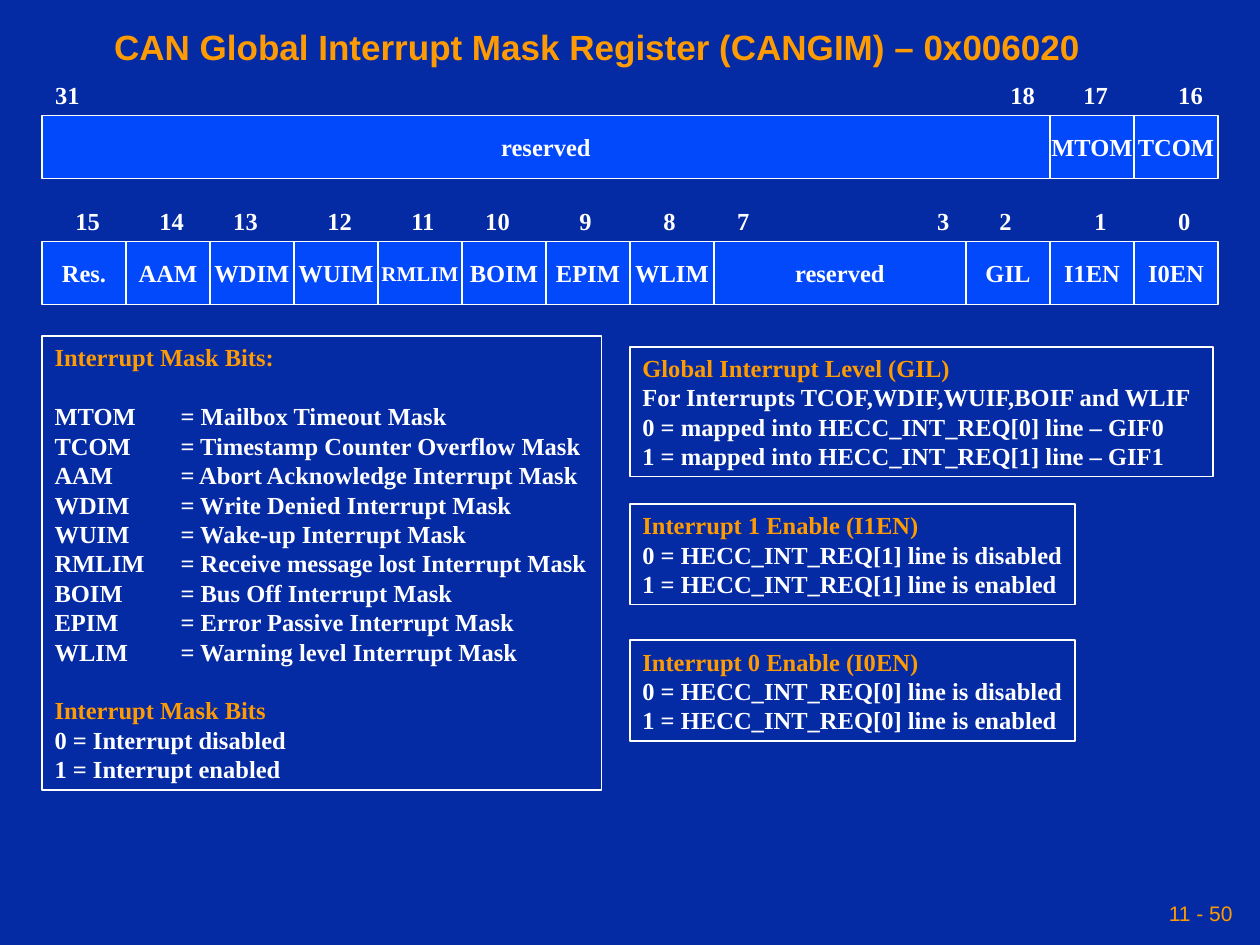
from lxml.etree import SubElement
from pptx import Presentation
from pptx.dml.color import RGBColor
from pptx.enum.shapes import MSO_SHAPE
from pptx.enum.text import MSO_ANCHOR, MSO_AUTO_SIZE, PP_ALIGN
from pptx.oxml.ns import qn
from pptx.util import Cm, Pt

COLORS = {"background": "042AA4", "field": "0249FC", "accent": "FE9B03", "white": "FFFFFF"}
BIT_WIDTH = 25.4 / 15
REGISTER_LEFT = BIT_WIDTH / 2
LINE_FACTOR = 1.2

REGISTER_ROWS = [
    (1.48, [("reserved", 12), ("MTOM", 1), ("TCOM", 1)],
     {31: 0.01, 18: 11.38, 17: 12.25, 16: 13.38}),
    (4.02, [("Res.", 1), ("AAM", 1), ("WDIM", 1), ("WUIM", 1), ("RMLIM", 1), ("BOIM", 1),
            ("EPIM", 1), ("WLIM", 1), ("reserved", 3), ("GIL", 1), ("I1EN", 1), ("I0EN", 1)],
     {15: 0.25, 14: 1.25, 13: 2.13, 12: 3.25, 11: 4.25, 10: 5.13, 9: 6.25, 8: 7.25,
      7: 8.13, 3: 10.51, 2: 11.25, 1: 12.38, 0: 13.38}),
]

MASK_BITS = {
    "MTOM": "Mailbox Timeout Mask",
    "TCOM": "Timestamp Counter Overflow Mask",
    "AAM": "Abort Acknowledge Interrupt Mask",
    "WDIM": "Write Denied Interrupt Mask",
    "WUIM": "Wake-up Interrupt Mask",
    "RMLIM": "Receive message lost Interrupt Mask",
    "BOIM": "Bus Off Interrupt Mask",
    "EPIM": "Error Passive Interrupt Mask",
    "WLIM": "Warning level Interrupt Mask",
}


def color(name):
    """Return the named colour."""
    return RGBColor.from_string(COLORS[name])


def write(paragraph, text, size=14, font="Times New Roman", fill="white", bold=True,
          align=PP_ALIGN.LEFT, before=0, tab=None):
    """Put formatted text into a paragraph."""
    paragraph.text = text
    paragraph.alignment = align
    paragraph.line_spacing = Pt(size * LINE_FACTOR)
    if before:
        paragraph.space_before = Pt(before)
    if tab:
        tabs = SubElement(paragraph._p.get_or_add_pPr(), qn("a:tabLst"))
        SubElement(tabs, qn("a:tab"), pos=str(Cm(tab)), algn="l")
    paragraph.font.size = Pt(size)
    paragraph.font.name = font
    paragraph.font.bold = bold
    paragraph.font.color.rgb = color(fill)


class RegisterSlide:
    """Hold the slide and draw its elements in one style."""

    def __init__(self, slide):
        """Keep the slide and paint its background."""
        self.slide = slide
        slide.background.fill.solid()
        slide.background.fill.fore_color.rgb = color("background")

    def label(self, text, left, top, width, height, **text_format):
        """Add a line of plain text."""
        shape = self.slide.shapes.add_textbox(Cm(left), Cm(top), Cm(width), Cm(height))
        shape.text_frame.word_wrap = True
        write(shape.text_frame.paragraphs[0], text, **text_format)

    def rectangle(self, left, top, width, height):
        """Add an unfilled rectangle with a white outline."""
        shape = self.slide.shapes.add_shape(
            MSO_SHAPE.RECTANGLE, Cm(left), Cm(top), Cm(width), Cm(height))
        shape.shadow.inherit = False
        shape.fill.background()
        shape.line.color.rgb = color("white")
        shape.line.width = Pt(1)
        shape.text_frame.word_wrap = False
        return shape

    def field(self, text, left, top, width):
        """Add one register field."""
        shape = self.rectangle(left, top, width, 1.27)
        shape.fill.solid()
        shape.fill.fore_color.rgb = color("field")
        shape.text_frame.vertical_anchor = MSO_ANCHOR.MIDDLE
        write(shape.text_frame.paragraphs[0], text, size=12 if text == "RMLIM" else 14,
              align=PP_ALIGN.CENTER)

    def register_row(self, top, fields, bits):
        """Add the bit numbers and the fields of one register half."""
        for bit, column in bits.items():
            self.label(str(bit), REGISTER_LEFT + column * BIT_WIDTH, top,
                       1.06 if bit > 9 else 0.8, 0.86)
        left = REGISTER_LEFT
        for text, span in fields:
            self.field(text, left, top + 0.85, span * BIT_WIDTH)
            left += span * BIT_WIDTH

    def note(self, left, top, width, height, *sections):
        """Add an outlined box of sections, each a heading and its lines."""
        frame = self.rectangle(left, top, width, height).text_frame
        frame.vertical_anchor = MSO_ANCHOR.TOP
        frame.auto_size = MSO_AUTO_SIZE.SHAPE_TO_FIT_TEXT
        paragraph = frame.paragraphs[0]
        blank_line = 14 * LINE_FACTOR
        for number, (heading, lines) in enumerate(sections):
            if number:
                paragraph = frame.add_paragraph()
            write(paragraph, heading, fill="accent", before=blank_line if number else 0)
            for index, line in enumerate(lines):
                tabbed = "\t" in line
                write(frame.add_paragraph(), line, tab=2.54 if tabbed else None,
                      before=blank_line if tabbed and index == 0 else 0)


def main():
    """Build and save the presentation."""
    presentation = Presentation()
    presentation.slide_width, presentation.slide_height = Cm(25.4), Cm(19.05)
    page = RegisterSlide(presentation.slides.add_slide(presentation.slide_layouts[6]))
    page.label("11 - 50", 17.48, 18.02, 7.62, 0.84, size=12, font="Arial",
               fill="accent", bold=False, align=PP_ALIGN.RIGHT)
    page.label("CAN Global Interrupt Mask Register (CANGIM) – 0x006020", 2.05, 0.39, 22.73, 1.09,
               size=20, font="Arial", fill="accent")
    for row in REGISTER_ROWS:
        page.register_row(*row)
    page.note(0.85, 6.78, 11.28, 9.14,
              ("Interrupt Mask Bits:", [f"{name}\t= {use}" for name, use in MASK_BITS.items()]),
              ("Interrupt Mask Bits", ["0 = Interrupt disabled", "1 = Interrupt enabled"]))
    page.note(12.7, 6.99, 11.75, 2.62,
              ("Global Interrupt Level (GIL)",
               ["For Interrupts TCOF,WDIF,WUIF,BOIF and WLIF"]
               + [f"{line} = mapped into HECC_INT_REQ[{line}] line – GIF{line}"
                  for line in (0, 1)]))
    for line, top in ((1, 10.16), (0, 12.91)):
        page.note(12.7, top, 8.98, 2.03,
                  (f"Interrupt {line} Enable (I{line}EN)",
                   [f"{value} = HECC_INT_REQ[{line}] line is {state}"
                    for value, state in enumerate(("disabled", "enabled"))]))
    presentation.save("out.pptx")


if __name__ == "__main__":
    main()
